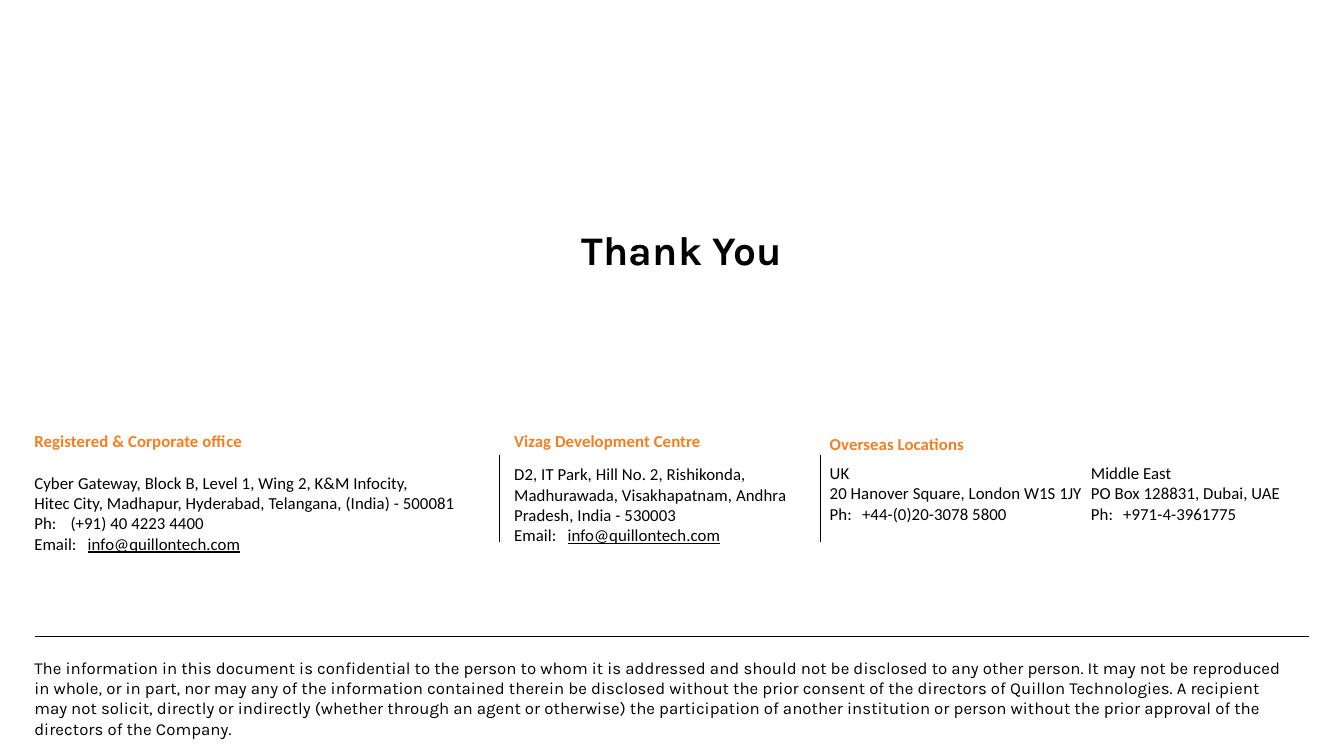
"""Build the closing slide with office contacts and a confidentiality notice."""
from lxml.etree import SubElement
from pptx import Presentation
from pptx.dml.color import RGBColor
from pptx.enum.shapes import MSO_CONNECTOR
from pptx.enum.text import MSO_ANCHOR, PP_ALIGN
from pptx.oxml.ns import qn
from pptx.util import Inches, Pt

BLACK = RGBColor(0x00, 0x00, 0x00)
ORANGE = RGBColor(0xF5, 0x7F, 0x20)
EMAIL = "Email:\tinfo@quillontech.com"
EMAIL_TAB = 0.53

TITLE = "Thank You"
NOTICE = (
    "The information in this document is confidential to the person to whom it is "
    "addressed and should not be disclosed to any other person. It may not be "
    "reproduced in whole, or in part, nor may any of the information contained therein "
    "be disclosed without the prior consent of the directors of Quillon Technologies. "
    "A recipient may not solicit, directly or indirectly (whether through an agent or "
    "otherwise) the participation of another institution or person without the prior "
    "approval of the directors of the Company."
)
OFFICES = [
    {"frame": (0.34, 4.26, 4.61, 1.24), "heading": "Registered & Corporate office",
     "gap": 15.6, "phone_tab": 0.36, "lines": [
         "Cyber Gateway, Block B, Level 1, Wing 2, K&M Infocity,",
         "Hitec City, Madhapur, Hyderabad, Telangana, (India) - 500081",
         "Ph:\t(+91) 40 4223 4400", EMAIL]},
    {"frame": (5.1, 4.26, 2.73, 1.17), "heading": "Vizag Development Centre",
     "gap": 9.7, "phone_tab": 0.36, "lines": [
         "D2, IT Park, Hill No. 2, Rishikonda, Madhurawada, Visakhapatnam, "
         "Andhra Pradesh, India - 530003", EMAIL]},
    {"frame": (8.23, 4.29, 1.46, 0.21), "heading": "Overseas Locations",
     "gap": 0, "phone_tab": 0.32, "lines": []},
    {"frame": (8.23, 4.58, 2.6, 0.62), "heading": None,
     "gap": 0, "phone_tab": 0.32, "lines": [
         "UK", "20 Hanover Square, London W1S 1JY", "Ph:\t+44-(0)20-3078 5800"]},
    {"frame": (10.82, 4.58, 1.96, 0.62), "heading": None,
     "gap": 0, "phone_tab": 0.32, "lines": [
         "Middle East", "PO Box 128831, Dubai, UAE", "Ph:\t+971-4-3961775"]},
]
RULES = [
    (4.95, 4.51, 4.95, 5.38, 0.82),
    (8.14, 4.51, 8.14, 5.38, 0.82),
    (0.35, 6.31, 12.98, 6.31, 0.41),
]


def prepare(frame):
    frame.word_wrap = True
    frame.vertical_anchor = MSO_ANCHOR.TOP
    frame.margin_left = frame.margin_right = frame.margin_bottom = 0
    frame.margin_top = Inches(0.01)


def add_box(page, frame):
    box = page.shapes.add_textbox(*map(Inches, frame))
    prepare(box.text_frame)
    return box.text_frame


def style(span, font, size, color=BLACK, bold=False, tracking=5):
    span.font.name = font
    span.font.size = Pt(size)
    span.font.bold = bold
    span.font.color.rgb = color
    span._r.get_or_add_rPr().set("spc", str(tracking))


def set_tab(para, position):
    stops = SubElement(para._p.get_or_add_pPr(), qn("a:tabLst"))
    SubElement(stops, qn("a:tab"), pos=str(Inches(position)), algn="l")


def add_office(page, office):
    frame = add_box(page, office["frame"])
    heading = [office["heading"]] if office["heading"] else []
    for index, line in enumerate(heading + office["lines"]):
        para = frame.paragraphs[0] if index == 0 else frame.add_paragraph()
        para.space_before = Pt(office["gap"] if index == 1 else 0.2)
        is_heading = line == office["heading"]
        label, tab, value = line.partition("\t")
        para.add_run().text = label + tab
        if tab:
            set_tab(para, EMAIL_TAB if line == EMAIL else office["phone_tab"])
            span = para.add_run()
            span.text = value
            span.font.underline = line == EMAIL
        for span in para.runs:
            style(span, "Calibri", 12, ORANGE if is_heading else BLACK, is_heading)


def add_rule(page, left, top, right, bottom, weight):
    rule = page.shapes.add_connector(
        MSO_CONNECTOR.STRAIGHT, *map(Inches, (left, top, right, bottom)))
    rule.line.color.rgb = BLACK
    rule.line.width = Pt(weight)
    SubElement(rule._element.spPr, qn("a:effectLst"))


deck = Presentation()
deck.slide_width, deck.slide_height = Inches(13.33), Inches(7.5)
page = deck.slides.add_slide(deck.slide_layouts[5])

title = page.shapes.title
title.left, title.top, title.width, title.height = map(Inches, (5.77, 2.22, 3.27, 0.5))
title.text_frame.text = TITLE
prepare(title.text_frame)
title.text_frame.paragraphs[0].alignment = PP_ALIGN.LEFT
style(title.text_frame.paragraphs[0].runs[0], "Karla", 29, bold=True, tracking=10)

notice = add_box(page, (0.34, 6.51, 12.44, 0.62))
notice.text = NOTICE
notice.paragraphs[0].line_spacing = 1.01
style(notice.paragraphs[0].runs[0], "Karla", 12)

for office in OFFICES:
    add_office(page, office)
for rule in RULES:
    add_rule(page, *rule)

deck.save("out.pptx")
